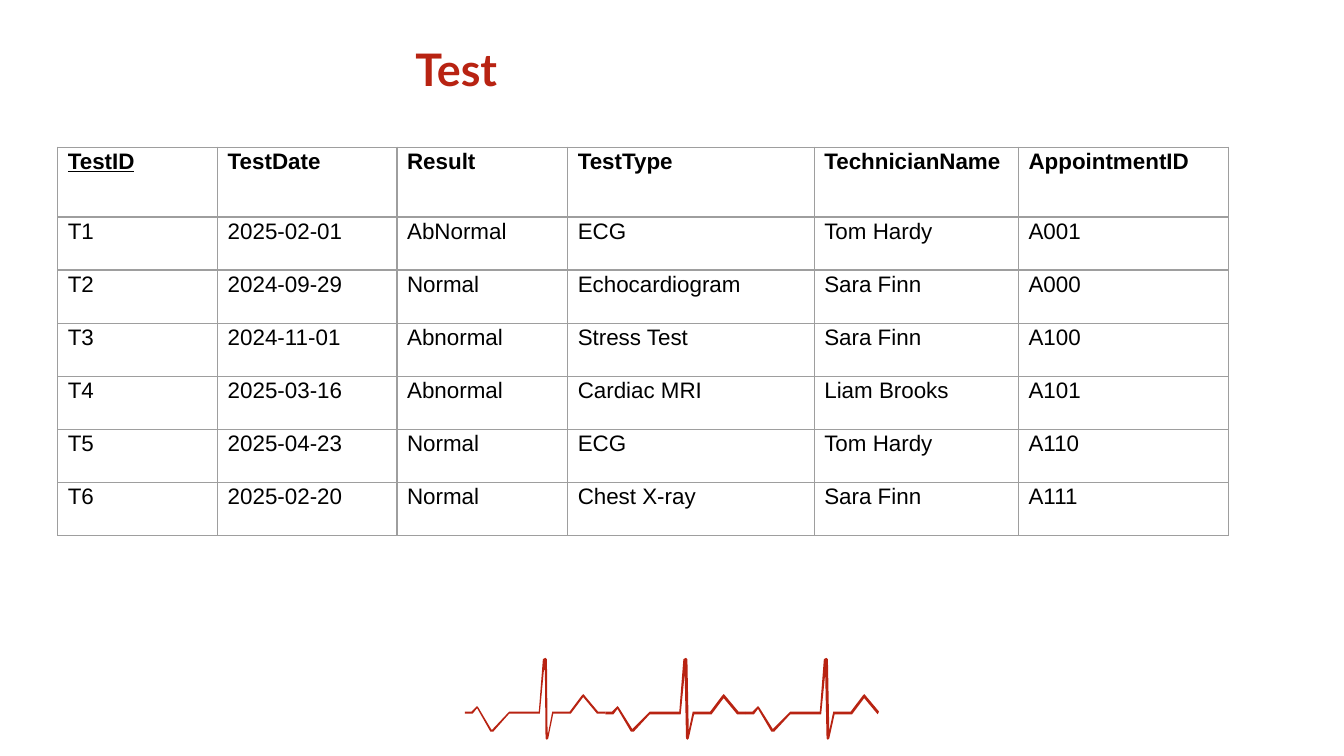
"""Build the Test slide: a title, a table of test records and a heartbeat trace."""
from typing import NamedTuple

from lxml.etree import SubElement
from pptx import Presentation
from pptx.dml.color import RGBColor
from pptx.enum.text import MSO_ANCHOR, MSO_AUTO_SIZE, PP_ALIGN
from pptx.oxml.ns import qn
from pptx.shapes.shapetree import GroupShapes
from pptx.slide import Slide
from pptx.table import _Cell
from pptx.text.text import TextFrame
from pptx.util import Emu, Pt

EMU_PER_PX = 4572
RED = RGBColor(0xB8, 0x23, 0x12)
BLACK = RGBColor(0x00, 0x00, 0x00)
GREY = RGBColor(0x9E, 0x9E, 0x9E)

HEADERS = ("TestID", "TestDate", "Result", "TestType", "TechnicianName", "AppointmentID")
COLUMN_WIDTHS = (238, 267, 254, 367, 304, 313)
HEADER_HEIGHT = 104
ROW_HEIGHT = 79


class TestRecord(NamedTuple):
    test_id: str
    date: str
    result: str
    kind: str
    technician: str
    appointment: str


class Joint(NamedTuple):
    upper: tuple[int, int]
    lower: tuple[int, int]
    dips: bool = False


class Pulse(NamedTuple):
    left: int
    weight: float = 1
    joints: int = 22


RECORDS = (
    TestRecord("T1", "2025-02-01", "AbNormal", "ECG", "Tom Hardy", "A001"),
    TestRecord("T2", "2024-09-29", "Normal", "Echocardiogram", "Sara Finn", "A000"),
    TestRecord("T3", "2024-11-01", "Abnormal", "Stress Test", "Sara Finn", "A100"),
    TestRecord("T4", "2025-03-16", "Abnormal", "Cardiac MRI", "Liam Brooks", "A101"),
    TestRecord("T5", "2025-04-23", "Normal", "ECG", "Tom Hardy", "A110"),
    TestRecord("T6", "2025-02-20", "Normal", "Chest X-ray", "Sara Finn", "A111"),
)

PULSE_TOP = 979
JOINTS = (
    Joint((0, 80), (0, 84)),
    Joint((10, 80), (12, 84)),
    Joint((18, 72), (18, 76)),
    Joint((20, 74), (18, 76)),
    Joint((40, 106), (38, 110), dips=True),
    Joint((40, 106), (42, 110), dips=True),
    Joint((64, 82), (66, 84)),
    Joint((66, 80), (66, 84)),
    Joint((110, 80), (112, 84)),
    Joint((116, 2), (118, 24)),
    Joint((120, 0), (118, 24)),
    Joint((122, 2), (118, 24)),
    Joint((124, 108), (120, 120), dips=True),
    Joint((124, 108), (122, 122), dips=True),
    Joint((124, 108), (124, 120), dips=True),
    Joint((130, 80), (132, 84)),
    Joint((156, 80), (158, 84)),
    Joint((174, 56), (176, 60)),
    Joint((176, 54), (176, 60)),
    Joint((178, 56), (176, 60)),
    Joint((198, 80), (196, 84)),
    Joint((209, 80), (209, 84)),
)
PULSES = (Pulse(692, weight=0.75), Pulse(901), Pulse(1110, joints=21))


def px(length: float) -> Emu:
    """Turn px into EMU."""
    return Emu(round(length * EMU_PER_PX))


def write_text(frame: TextFrame, text: str, *, size: int = 12, font: str = "Arial",
               color: RGBColor = BLACK, bold: bool = False, underline: bool = False,
               align: PP_ALIGN = PP_ALIGN.LEFT, spacing: float = 1.07) -> None:
    """Fill a text frame with one formatted paragraph."""
    para = frame.paragraphs[0]
    para.alignment = align
    para.line_spacing = spacing
    span = para.add_run()
    span.text = text
    span.font.size = Pt(size)
    span.font.name = font
    span.font.color.rgb = color
    span.font.bold = bold
    span.font.underline = underline


def draw_title(page: Slide) -> None:
    """Place and format the title placeholder."""
    box = page.shapes.title
    box.left, box.top, box.width, box.height = px(158), px(42), px(1042), px(110)
    frame = box.text_frame
    frame.auto_size = MSO_AUTO_SIZE.NONE
    frame.vertical_anchor = MSO_ANCHOR.TOP
    frame.margin_left = frame.margin_right = px(20)
    frame.margin_top = frame.margin_bottom = px(20)
    write_text(frame, "Test", size=24, font="Lato", color=RED, bold=True,
               align=PP_ALIGN.CENTER, spacing=1.0)


def add_borders(cell: _Cell) -> None:
    """Rule all four sides of a cell."""
    properties = cell._tc.get_or_add_tcPr()
    for side in ("a:lnL", "a:lnR", "a:lnT", "a:lnB"):
        line = SubElement(properties, qn(side), w=str(Pt(0.75)))
        fill = SubElement(line, qn("a:solidFill"))
        SubElement(fill, qn("a:srgbClr"), val=str(GREY))


def draw_table(page: Slide) -> None:
    """Draw the table of test records."""
    rows = (HEADERS, *RECORDS)
    heights = (HEADER_HEIGHT, *[ROW_HEIGHT] * len(RECORDS))
    table = page.shapes.add_table(len(rows), len(HEADERS), px(86), px(219),
                                  px(sum(COLUMN_WIDTHS)), px(sum(heights))).table
    table.first_row = table.horz_banding = False
    for column, width in zip(table.columns, COLUMN_WIDTHS):
        column.width = px(width)
    for row_index, (row, height) in enumerate(zip(rows, heights)):
        table.rows[row_index].height = px(height)
        for column_index, text in enumerate(row):
            cell = table.cell(row_index, column_index)
            cell.margin_left = cell.margin_right = px(15)
            cell.margin_top = cell.margin_bottom = 0
            add_borders(cell)
            cell.fill.background()
            write_text(cell.text_frame, text, bold=row_index == 0,
                       underline=text == HEADERS[0])


def draw_pulse(shapes: GroupShapes, pulse: Pulse) -> None:
    """Draw one heartbeat, its inner edge drawn in by the pulse weight."""
    upper, lower = [], []
    for joint in JOINTS[:pulse.joints]:
        outer, inner = (joint.lower, joint.upper) if joint.dips else (joint.upper, joint.lower)
        drawn = tuple(a + (b - a) * pulse.weight for a, b in zip(outer, inner))
        upper.append(drawn if joint.dips else outer)
        lower.append(outer if joint.dips else drawn)
    outline = [(px(pulse.left + x), px(PULSE_TOP + y)) for x, y in upper + lower[::-1]]
    builder = shapes.build_freeform(*outline[0])
    builder.add_line_segments(outline[1:], close=True)
    shape = builder.convert_to_shape()
    shape.shadow.inherit = False
    shape.fill.solid()
    shape.fill.fore_color.rgb = RED
    shape.line.fill.background()


def main() -> None:
    """Build and save the deck."""
    deck = Presentation()
    deck.slide_width, deck.slide_height = px(2000), px(1125)
    page = deck.slides.add_slide(deck.slide_layouts[5])
    trace = page.shapes.add_group_shape()
    for pulse in PULSES:
        draw_pulse(trace.shapes, pulse)
    draw_title(page)
    draw_table(page)
    deck.save("out.pptx")


if __name__ == "__main__":
    main()
